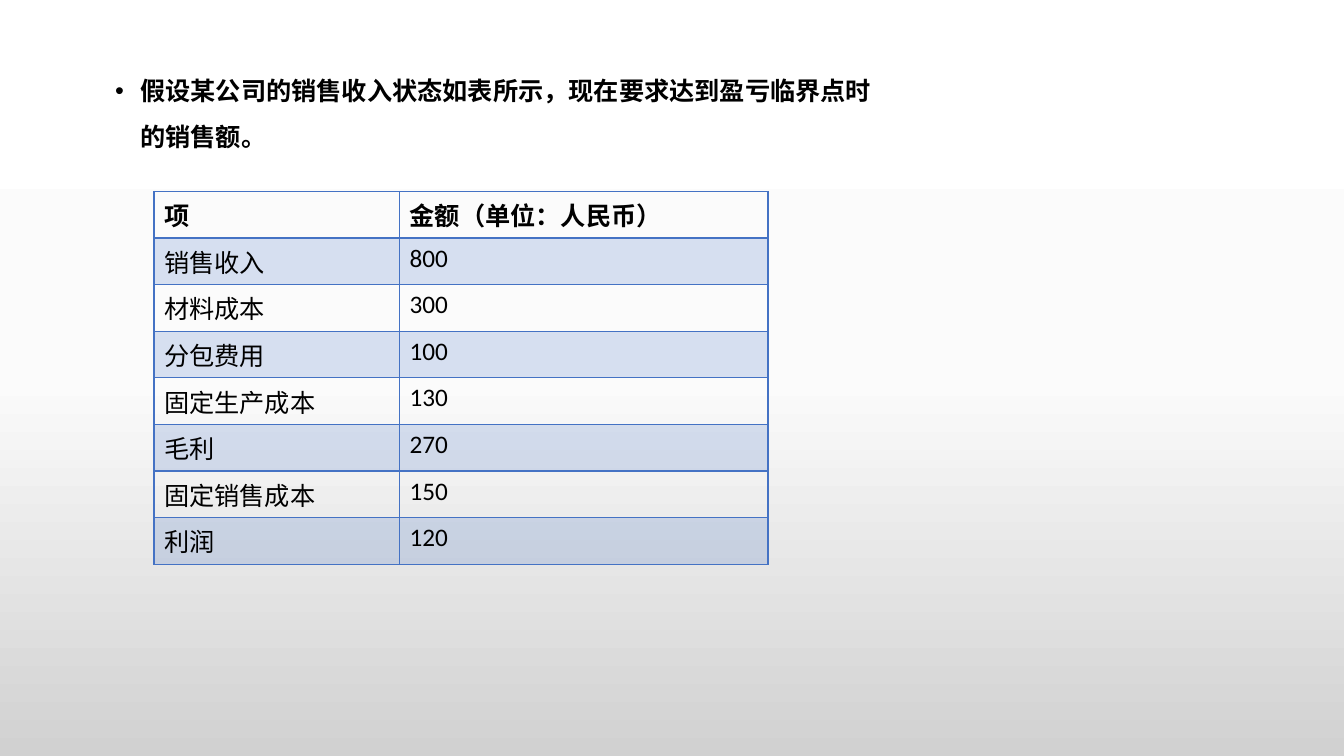
from copy import deepcopy
from dataclasses import dataclass

from lxml import etree
from pptx import Presentation
from pptx.dml.color import RGBColor
from pptx.oxml import ns
from pptx.util import Pt


@dataclass(frozen=True)
class Theme:
    ink: str = "000000"
    blue: str = "4472C4"
    sky: tuple = ((0, "FFFFFF"), (0.5, "FBFBFB"), (1, "D1D1D1"))
    tint: int = 20
    size: int = 18
    cjk: str = "Noto Sans CJK SC"
    latin: str = "Calibri"


THEME = Theme()
TASK = "假设某公司的销售收入状态如表所示，现在要求达到盈亏临界点时的销售额。"
HEAD = ("项", "金额（单位：人民币）")
ITEMS = (
    ("销售收入", 800),
    ("材料成本", 300),
    ("分包费用", 100),
    ("固定生产成本", 130),
    ("毛利", 270),
    ("固定销售成本", 150),
    ("利润", 120),
)


def add(parent, tag, **attrs):
    return etree.SubElement(parent, ns.qn(tag), {k: str(v) for k, v in attrs.items()})


def style(para, face, bold):
    font = para.font
    font.name, font.size, font.bold = face, Pt(THEME.size), bold
    font.color.rgb = RGBColor.from_string(THEME.ink)


def paint(slide):
    """Fill the background with the vertical three-stop gradient."""
    fill = slide.background.fill
    fill.gradient()
    fill.gradient_angle = 270
    first = slide.element.find(".//" + ns.qn("a:gs"))
    first.addnext(deepcopy(first))
    for stop, (pos, color) in zip(fill.gradient_stops, THEME.sky):
        stop.position = pos
        stop.color.rgb = RGBColor.from_string(color)


def task(slide, left, top, width, height):
    body = slide.placeholders[1]
    body.left, body.top = Pt(left), Pt(top)
    body.width, body.height = Pt(width), Pt(height)
    frame = body.text_frame
    frame.word_wrap = True
    frame.text = TASK
    para = frame.paragraphs[0]
    para.line_spacing, para.space_before = 1.5, Pt(10)
    style(para, THEME.cjk, True)
    props = para._p.get_or_add_pPr()
    props.set("marL", str(Pt(18)))
    props.set("indent", str(Pt(-18)))
    mark = add(props, "a:buFont", typeface="Arial")
    sign = add(props, "a:buChar", char="•")
    props.find(ns.qn("a:defRPr")).addprevious(mark)
    mark.addnext(sign)


def border(cell, low):
    """Draw the four cell edges, with the bottom one low points wide."""
    props = cell._tc.get_or_add_tcPr()
    for spot, side in enumerate("LRTB"):
        line = add(props, "a:ln" + side, w=Pt(low if side == "B" else 1))
        add(add(line, "a:solidFill"), "a:srgbClr", val=THEME.blue)
        props.insert(spot, line)


def shade(cell):
    cell.fill.solid()
    cell.fill.fore_color.rgb = RGBColor.from_string(THEME.blue)
    color = cell._tc.tcPr.find(ns.qn("a:solidFill"))[0]
    add(color, "a:alpha", val=THEME.tint * 1000)


def ledger(slide, left, top, width, height):
    rows = (HEAD, *ITEMS)
    frame = slide.shapes.add_table(
        len(rows), len(HEAD), Pt(left), Pt(top), Pt(width), Pt(height))
    table = frame.table
    for col, share in zip(table.columns, (0.4, 0.6)):
        col.width = Pt(width * share)
    for i, row in enumerate(rows):
        for j, value in enumerate(row):
            cell = table.cell(i, j)
            cell.text = str(value)
            style(cell.text_frame.paragraphs[0], THEME.latin, i == 0)
            if i % 2:
                shade(cell)
            else:
                cell.fill.background()
            border(cell, 1 if i else 2)


def main():
    deck = Presentation()
    deck.slide_width, deck.slide_height = Pt(960), Pt(540)
    slide = deck.slides.add_slide(deck.slide_layouts[1])
    title = slide.shapes.title.element
    title.getparent().remove(title)
    paint(slide)
    task(slide, 75, 39.6, 561.6, 372.2)
    ledger(slide, 110, 136.8, 438.6, 230.4)
    deck.save("out.pptx")


if __name__ == "__main__":
    main()
